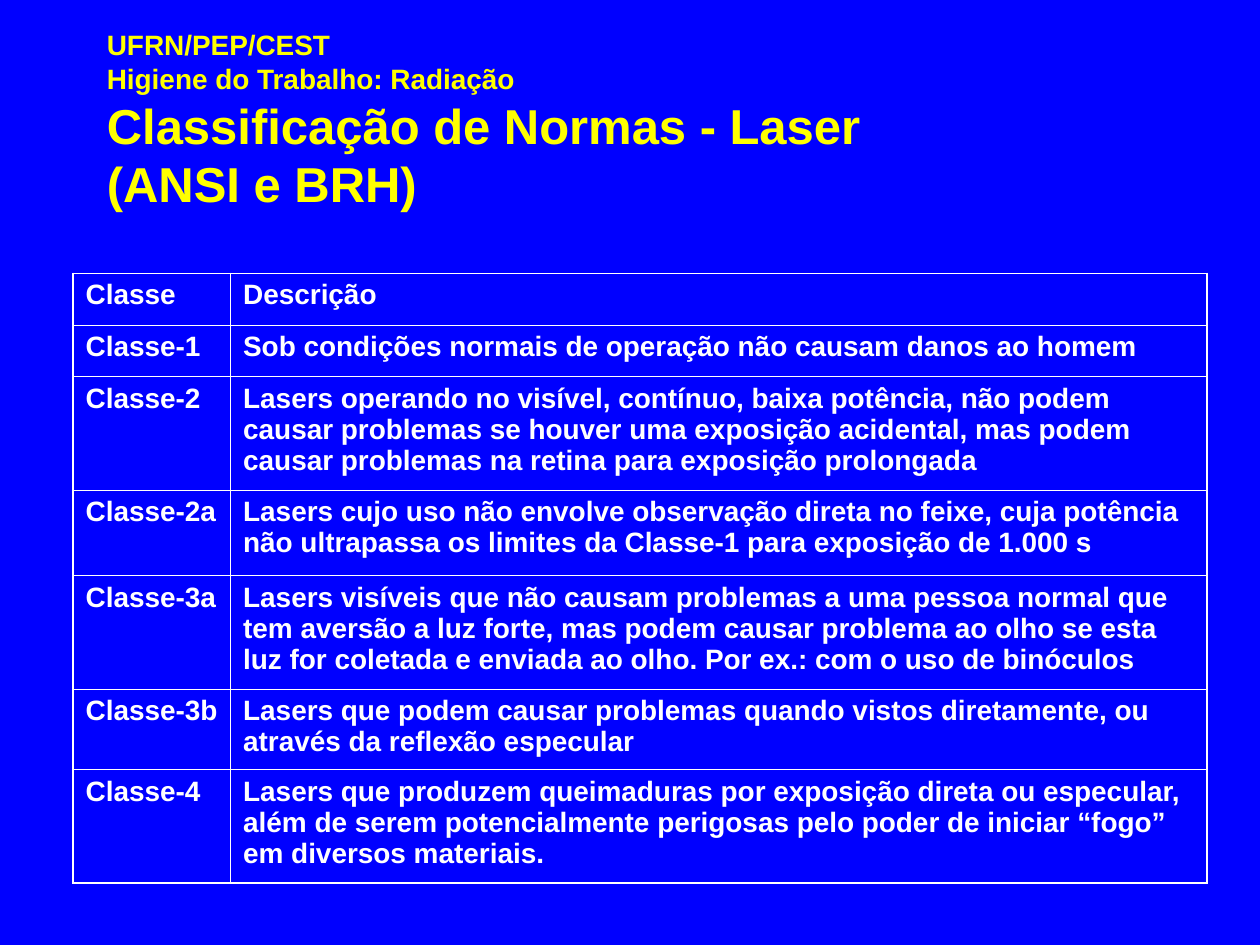
from lxml import etree
from pptx import Presentation
from pptx.dml.color import RGBColor
from pptx.enum.text import MSO_ANCHOR
from pptx.oxml.ns import qn
from pptx.util import Inches, Pt

MIDDLE = MSO_ANCHOR.MIDDLE
BLUE, YELLOW, WHITE = "0000FF", "FFFF00", "FFFFFF"
THIN, THICK = 0.45, 1.08

HEAD = [
    ("UFRN/PEP/CEST", 16),
    ("Higiene do Trabalho: Radiação", 16),
    ("Classificação de Normas - Laser", 28),
    ("(ANSI e BRH)", 28),
]
WIDTHS = [1.25, 7.75]
ROWS = [
    (0.41, "Classe", "Descrição"),
    (0.41, "Classe-1", "Sob condições normais de operação não causam danos ao homem"),
    (0.9, "Classe-2", "Lasers operando no visível, contínuo, baixa potência, não podem "
     "causar problemas se houver uma exposição acidental, mas podem "
     "causar problemas na retina para exposição prolongada"),
    (0.68, "Classe-2a", "Lasers cujo uso não envolve observação direta no feixe, cuja "
     "potência não ultrapassa os limites da Classe-1 para exposição de 1.000 s"),
    (0.9, "Classe-3a", "Lasers visíveis que não causam problemas a uma pessoa normal que "
     "tem aversão a luz forte, mas podem causar problema ao olho se esta "
     "luz for coletada e enviada ao olho. Por ex.: com o uso de binóculos"),
    (0.64, "Classe-3b", "Lasers que podem causar problemas quando vistos diretamente, ou "
     "através da reflexão especular"),
    (0.9, "Classe-4", "Lasers que produzem queimaduras por exposição direta ou especular, "
     "além de serem potencialmente perigosas pelo poder de iniciar “fogo” "
     "em diversos materiais."),
]


def color(code):
    return RGBColor.from_string(code)


class Deck:
    face = "Arial"

    def __init__(self, slide):
        self.slide = slide

    def back(self, code):
        fill = self.slide.background.fill
        fill.solid()
        fill.fore_color.rgb = color(code)

    def label(self, para, text, size, code):
        para.text = text
        font = para.font
        font.name, font.size, font.bold = self.face, Pt(size), True
        font.color.rgb = color(code)

    def title(self, lines, x, y, w, h):
        box = self.slide.shapes.add_textbox(Inches(x), Inches(y), Inches(w), Inches(h))
        frame = box.text_frame
        frame.word_wrap = True
        frame.vertical_anchor = MIDDLE
        for i, (text, size) in enumerate(lines):
            para = frame.add_paragraph() if i else frame.paragraphs[0]
            self.label(para, text, size, YELLOW)

    def border(self, cell, sides):
        props = cell._tc.get_or_add_tcPr()
        for i, (side, width) in enumerate(sides):
            line = etree.Element(qn("a:ln" + side), w=str(int(Pt(width))))
            fill = etree.SubElement(line, qn("a:solidFill"))
            etree.SubElement(fill, qn("a:srgbClr"), val=WHITE)
            props.insert(i, line)

    def table(self, rows, widths, x, y):
        high = sum(row[0] for row in rows)
        last, end = len(rows) - 1, len(widths) - 1
        table = self.slide.shapes.add_table(
            len(rows), len(widths), Inches(x), Inches(y),
            Inches(sum(widths)), Inches(high)).table
        table.first_row = table.horz_banding = False
        for col, width in zip(table.columns, widths):
            col.width = Inches(width)
        for r, (height, *texts) in enumerate(rows):
            table.rows[r].height = Inches(height)
            for c, text in enumerate(texts):
                cell = table.cell(r, c)
                cell.fill.background()
                self.label(cell.text_frame.paragraphs[0], text, 16, WHITE)
                # Thick lines run round the outside only
                edges = [("L", c == 0), ("R", c == end), ("T", r == 0), ("B", r == last)]
                self.border(cell, [(s, THICK if out else THIN) for s, out in edges])


def main():
    show = Presentation()
    show.slide_width, show.slide_height = Inches(10), Inches(7.5)
    deck = Deck(show.slides.add_slide(show.slide_layouts[6]))
    deck.back(BLUE)

    # Heading
    deck.title(HEAD, 0.75, 0.33, 8.5, 1.25)

    # Laser classes
    deck.table(ROWS, WIDTHS, 0.58, 2.17)

    show.save("out.pptx")


if __name__ == "__main__":
    main()
